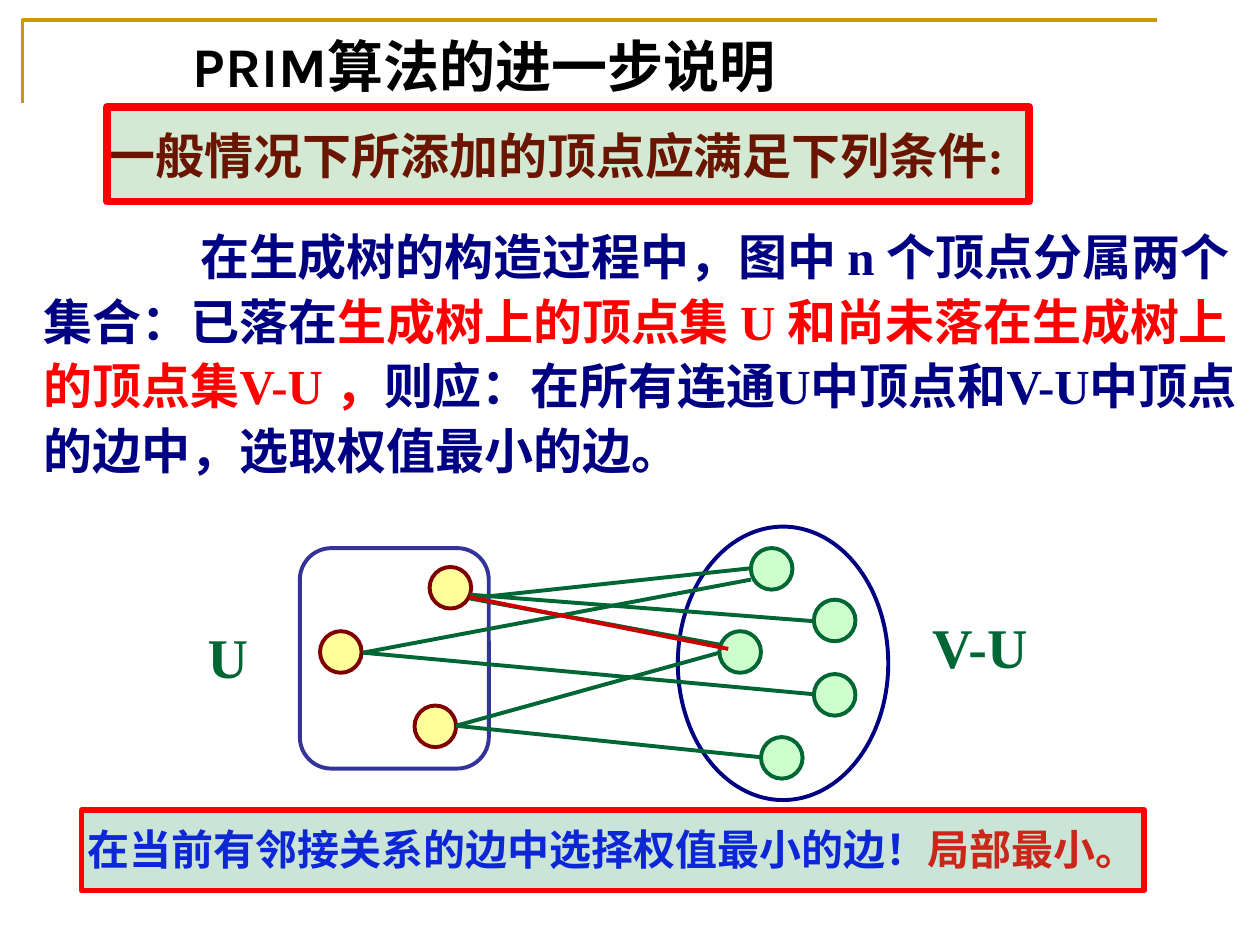
from lxml import etree
from pptx import Presentation
from pptx import util as u
from pptx.dml.color import RGBColor
from pptx.enum import shapes, text
from pptx.oxml.ns import qn

COLUMNS, ROWS = 100, 75
SERIF, SANS = "Times New Roman", "Karla"
NAVY, RED, GREEN, MAROON = "000082", "FF0000", "006633", "800000"


def rgb(value):
    return RGBColor.from_string(value)


class Board:
    """Current slide, measured in grid columns and rows, and its style."""

    def __init__(self, deck):
        self.slide = deck.slides.add_slide(deck.slide_layouts[6])
        self.column = deck.slide_width / COLUMNS
        self.row = deck.slide_height / ROWS

    def place(self, *lengths):
        units = (self.column, self.row) * 2
        return [u.Emu(round(n * unit)) for n, unit in zip(lengths, units)]

    def outline(self, item, color, width):
        item.line.color.rgb = rgb(color)
        item.line.width = u.Pt(width)

    def shape(self, kind, box, color, width=2.25, fill=None, opacity=None):
        item = self.slide.shapes.add_shape(kind, *self.place(*box))
        item.shadow.inherit = False
        self.outline(item, color, width)
        if fill is None:
            item.fill.background()
            return item
        item.fill.solid()
        item.fill.fore_color.rgb = rgb(fill)
        if opacity:
            tint = item.fill._xPr.find(".//" + qn("a:srgbClr"))
            etree.SubElement(tint, qn("a:alpha"), val=str(opacity * 1000))
        return item

    def edge(self, start, end, color=GREEN):
        item = self.slide.shapes.add_connector(
            shapes.MSO_CONNECTOR.STRAIGHT, *self.place(*start, *end))
        self.outline(item, color, 2.25)
        etree.SubElement(item._element.spPr, qn("a:effectLst"))

    def corner(self, points, color, width):
        first, *rest = [self.place(*point) for point in points]
        builder = self.slide.shapes.build_freeform(*first)
        builder.add_line_segments(rest, close=False)
        item = builder.convert_to_shape()
        item.shadow.inherit = False
        item.fill.background()
        self.outline(item, color, width)

    def text(self, box, runs, size, font=SERIF, spacing=None, indent=0, top=0.05):
        frame = self.slide.shapes.add_textbox(*self.place(*box)).text_frame
        frame.word_wrap = True
        frame.margin_top = u.Inches(top)
        paragraph = frame.paragraphs[0]
        if spacing:
            paragraph.line_spacing = spacing
        if indent:
            paragraph._p.get_or_add_pPr().set("indent", str(u.Inches(indent)))
        paragraph.font.size = u.Pt(size)
        paragraph.font.name = font
        paragraph.font.bold = True
        for words, color in runs:
            run = paragraph.add_run()
            run.text = words
            run.font.color.rgb = rgb(color)


def main():
    deck = Presentation()
    deck.slide_width, deck.slide_height = u.Inches(10), u.Inches(7.5)
    board = Board(deck)
    preset = shapes.MSO_SHAPE

    # Corner rule
    board.corner([(1.8, 8.2), (1.8, 1.6), (91.8, 1.6)], "CC9900", 2)

    # Explanation and its heading
    board.text((2.5, 15.8, 97.5, 23.6), [
        ("在生成树的构造过程中，图中 n 个顶点分属两个集合：已落在", NAVY),
        ("生成树上的顶点集 U 和尚未落在生成树上的顶点集V-U ，", RED),
        ("则应：在所有连通U中顶点和V-U中顶点的边中，选取权值最小的边。", NAVY),
    ], 28, spacing=1.1, indent=1.24, top=0.17)
    board.text((2.5, 7.8, 95.3, 8.1),
               [("一般情况下所添加的顶点应满足下列条件:", MAROON)],
               28, spacing=1.1, indent=0.5, top=0.17)

    # The two vertex sets
    tree_set = board.shape(preset.ROUNDED_RECTANGLE, (23.8, 43.5, 15, 17.5), "333399")
    tree_set.adjustments[0] = 0.167
    board.shape(preset.OVAL, (53.8, 41.8, 16.7, 21.7), NAVY)

    # Vertices
    tree = [(34.1, 45), (25.4, 50.1), (32.9, 56)]
    rest = [(59.6, 43.5), (64.6, 47.6), (60.4, 58.5), (57.1, 50.1), (64.6, 53.5)]
    for vertices, fill, line in ((tree, "FFFF99", MAROON), (rest, "CCFFCC", GREEN)):
        for vertex in vertices:
            board.shape(preset.OVAL, (*vertex, 3.3, 3.3), line, fill=fill)

    # Edges between the sets, the lightest one last
    middle, lower = (28.8, 51.8), (36.2, 57.6)
    for start, end in (
        ((38.1, 47.4), (59.6, 45.1)),
        (middle, (64.6, 55.1)),
        (lower, (60.4, 60.1)),
        (lower, (57.1, 51.8)),
        ((37.3, 47.2), (64.6, 49.3)),
        (middle, (59.6, 46)),
        ((37.3, 47.5), (57.3, 51.2)),
    ):
        board.edge(start, end)
    board.edge((37.3, 47.4), (57.8, 51.5), "CC0000")

    # Set labels and title
    board.text((15.5, 48.9, 6.3, 6.3), [("U", GREEN)], 32)
    board.text((73, 48.1, 11, 6.3), [("V-U", GREEN)], 32)
    board.text((14.3, 2, 55.3, 6.3), [("PRIM算法的进一步说明", "000000")], 32, SANS)

    # Tinted frames over the heading and the conclusion
    board.shape(preset.RECTANGLE, (8.5, 8.5, 73.2, 7.5), RED, 4.5, "008000", 17)
    board.text((6, 64.9, 91, 5), [
        ("在当前有邻接关系的边中选择权值最小的边！", "0000FF"),
        ("局部最小。", RED),
    ], 24, SANS)
    board.shape(preset.RECTANGLE, (6.5, 64.3, 84.3, 6.4), RED, 3, "339966", 26)

    deck.save("out.pptx")


if __name__ == "__main__":
    main()
